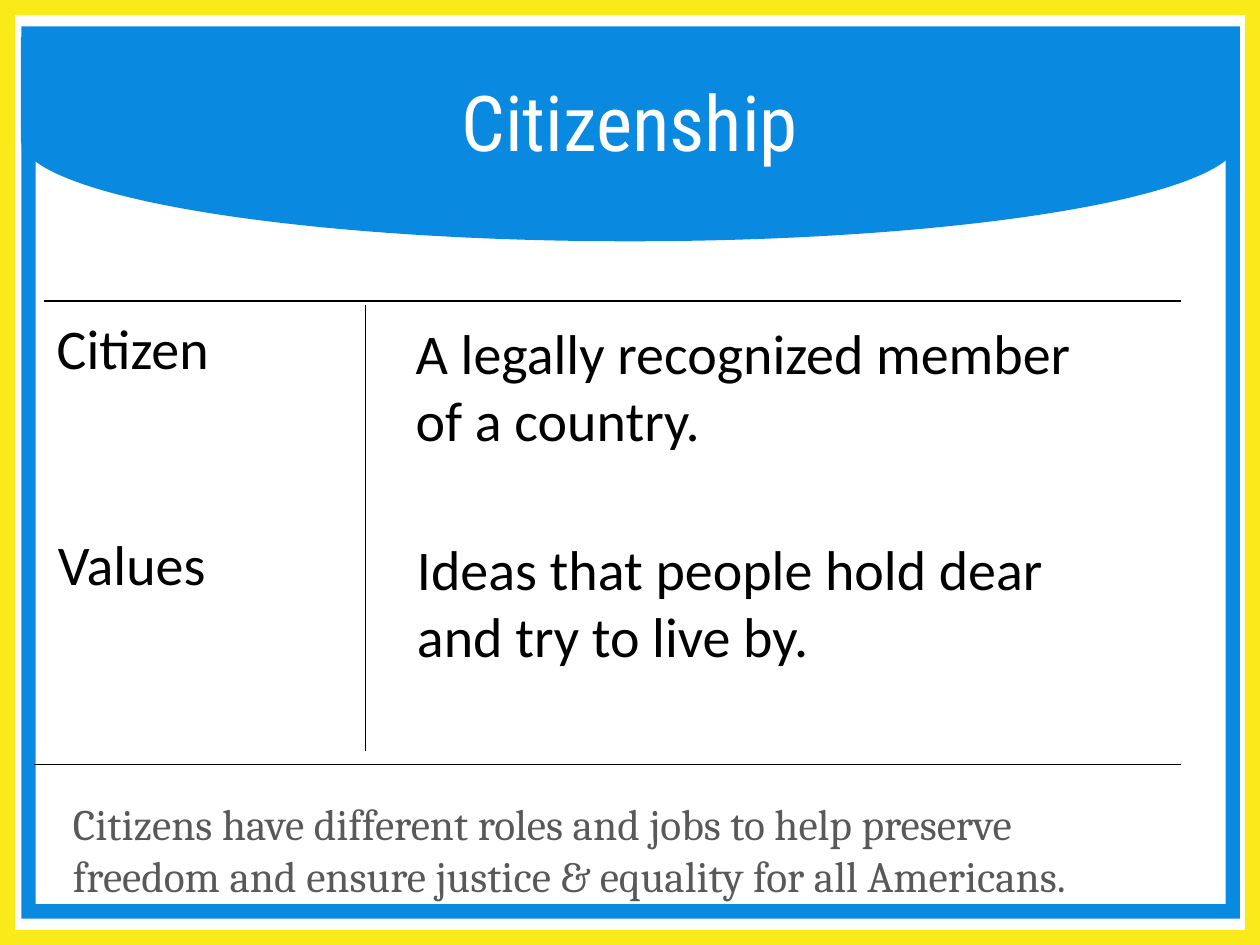
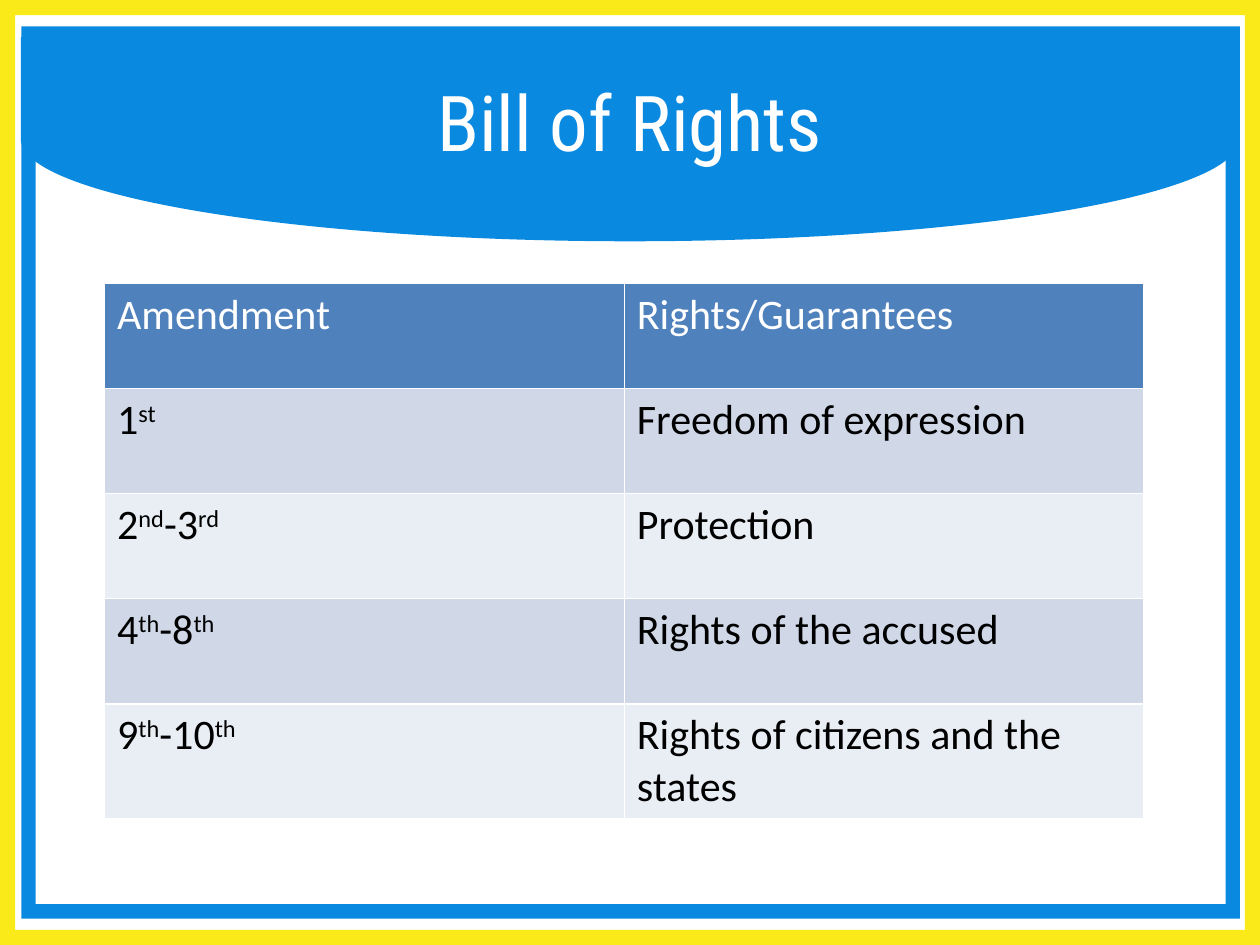
from lxml import etree
from pptx import Presentation
from pptx.dml.color import RGBColor
from pptx.enum.shapes import MSO_CONNECTOR, MSO_SHAPE
from pptx.enum.text import MSO_ANCHOR, MSO_AUTO_SIZE, PP_ALIGN
from pptx.oxml.ns import qn
from pptx.util import Inches, Pt

FRAME, DELAY = MSO_SHAPE.FRAME, MSO_SHAPE.FLOWCHART_DELAY
STRAIGHT = MSO_CONNECTOR.STRAIGHT
CENTER, MIDDLE = PP_ALIGN.CENTER, MSO_ANCHOR.MIDDLE
NO_AUTOFIT = MSO_AUTO_SIZE.NONE
TITLE_ONLY = 5

BLUE, YELLOW, WHITE, BLACK = "0A89E0", "FAEA1A", "FFFFFF", "000000"
HEADER_FILL = "4F81BD"
ROW_FILLS = ("E9EDF4", "D0D8E8")

TITLE_STYLE = {"name": "Roboto Condensed", "size": 44, "color": WHITE}
TERM_STYLE = {"name": "Calibri", "size": 32, "color": BLACK}
SUMMARY_STYLE = {"name": "Cambria", "size": 24.8, "color": "595959"}
HEADER_STYLE = {"name": "Calibri", "size": 24, "color": WHITE, "bold": False}
CELL_STYLE = {**HEADER_STYLE, "color": BLACK}

TERM_INSETS = (0.06, 0.1, 0.1, 0.05)
SUMMARY_INSETS = (0.1, 0.05, 0.5, 0.05)
TEXT_INDENT = 0.13

DEFINITIONS = [
    # term, definition, left and top of the term
    ("Citizen", "A legally recognized member of a country.", 0.26, 2.39),
    ("Values", "Ideas that people hold dear and try to live by.", 0.27, 4.1),
]
RULES = [
    (2.9, 2.42, 2.9, 5.96),
    (0.27, 6.07, 9.37, 6.07),
    (0.35, 2.39, 9.37, 2.39),
]
SUMMARY = ("Citizens have different roles and jobs to help preserve freedom "
           "and ensure justice & equality for all Americans.")
# Text between carets is superscript.
AMENDMENTS = [
    ("Amendment", "Rights/Guarantees"),
    ("1^st^", "Freedom of expression"),
    ("2^nd^-3^rd^", "Protection"),
    ("4^th^-8^th^", "Rights of the accused"),
    ("9^th^-10^th^", "Rights of citizens and the states"),
]


def rgb(value):
    return RGBColor.from_string(value)


def inches(values):
    return [Inches(value) for value in values]


def apply_style(font, style):
    for key, value in style.items():
        if key == "color":
            font.color.rgb = rgb(value)
        else:
            setattr(font, key, Pt(value) if key == "size" else value)


def write(para, text, style):
    """Fill a paragraph, raising the parts between carets."""
    for index, part in enumerate(text.split("^")):
        if part:
            span = para.add_run()
            span.text = part
            apply_style(span.font, style)
            if index % 2:
                span._r.get_or_add_rPr().set("baseline", "30000")


class Page:
    """One slide with the shared frame, band and title."""

    def __init__(self, deck, title):
        self.slide = deck.slides.add_slide(deck.slide_layouts[TITLE_ONLY])
        self.shapes = self.slide.shapes
        background = self.slide.background.fill
        background.solid()
        background.fore_color.rgb = rgb(WHITE)
        self.backdrop(DELAY, (4.19, -3.73, 1.62, 9.67), BLUE, rotation=90)
        self.backdrop(FRAME, (0, 0, 10, 7.5), YELLOW)
        self.backdrop(FRAME, (0.17, 0.21, 9.67, 7.08), BLUE)
        self.title(title)

    def backdrop(self, kind, place, fill, rotation=0):
        """Add a plain shape behind the title."""
        shape = self.shapes.add_shape(kind, *inches(place))
        shape.shadow.inherit = False
        shape.fill.solid()
        shape.fill.fore_color.rgb = rgb(fill)
        shape.line.fill.background()
        shape.rotation = rotation
        if kind == FRAME:
            shape.adjustments[0] = 0.016
        self.shapes.title.element.addprevious(shape.element)

    def title(self, text):
        box = self.shapes.title
        box.left, box.top, box.width, box.height = inches((0.5, 0.33, 9, 1.25))
        frame = box.text_frame
        frame.auto_size = NO_AUTOFIT
        frame.vertical_anchor = MIDDLE
        para = frame.paragraphs[0]
        para.alignment = CENTER
        write(para, text, TITLE_STYLE)

    def text(self, text, place, style, insets):
        frame = self.shapes.add_textbox(*inches(place)).text_frame
        frame.word_wrap = True
        for side, inset in zip(("left", "top", "right", "bottom"), insets):
            setattr(frame, f"margin_{side}", Inches(inset))
        para = frame.paragraphs[0]
        properties = para._p.get_or_add_pPr()
        properties.set("marL", str(Inches(TEXT_INDENT)))
        properties.set("indent", "0")
        write(para, text, style)

    def rule(self, ends):
        line = self.shapes.add_connector(STRAIGHT, *inches(ends))
        line.line.color.rgb = rgb(BLACK)
        line.line.width = Pt(0.75)
        etree.SubElement(line.element.spPr, qn("a:effectLst"))

    def table(self, rows, place):
        table = self.shapes.add_table(len(rows), len(rows[0]), *inches(place)).table
        for row_index, row in enumerate(rows):
            is_header = row_index == 0
            fill = HEADER_FILL if is_header else ROW_FILLS[row_index % 2]
            style = HEADER_STYLE if is_header else CELL_STYLE
            for column_index, text in enumerate(row):
                cell = table.cell(row_index, column_index)
                cell.fill.solid()
                cell.fill.fore_color.rgb = rgb(fill)
                write(cell.text_frame.paragraphs[0], text, style)


def build_citizenship(deck):
    page = Page(deck, "Citizenship")
    for ends in RULES:
        page.rule(ends)
    for term, definition, left, top in DEFINITIONS:
        page.text(term, (left, top, 2.31, 0.88), TERM_STYLE, TERM_INSETS)
        page.text(definition, (left + 2.85, top + 0.04, 5.9, 1.54),
                  TERM_STYLE, TERM_INSETS)
    page.text(SUMMARY, (0.35, 6.28, 9.02, 0.88), SUMMARY_STYLE, SUMMARY_INSETS)


def build_bill_of_rights(deck):
    page = Page(deck, "Bill of Rights")
    page.table(AMENDMENTS, (0.83, 2.25, 8.25, 4.17))


def main():
    deck = Presentation()
    deck.slide_width, deck.slide_height = inches((10, 7.5))
    build_citizenship(deck)
    build_bill_of_rights(deck)
    deck.save("out.pptx")


if __name__ == "__main__":
    main()
